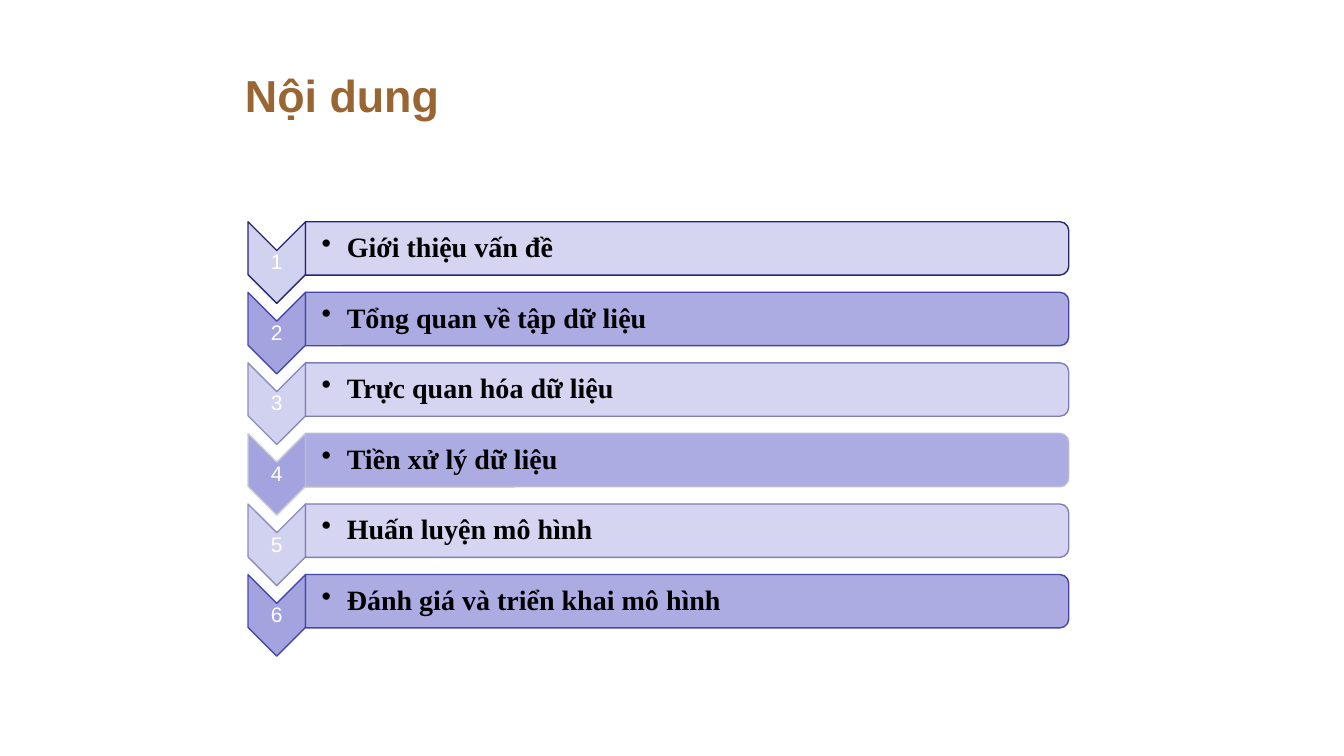
from dataclasses import dataclass

from lxml.etree import SubElement
from pptx import Presentation
from pptx.dml.color import RGBColor
from pptx.enum.shapes import MSO_SHAPE
from pptx.enum.text import MSO_ANCHOR, MSO_AUTO_SIZE, PP_ALIGN
from pptx.oxml.ns import qn
from pptx.shapes.autoshape import Shape
from pptx.slide import Slide
from pptx.text.text import TextFrame
from pptx.util import Emu, Pt

LAVENDER = "D1D1F0"
VIOLET = "A3A3E0"
FIRST_TOP = 223
ROW_PITCH = 70
BAR_LEFT, BAR_WIDTH, BAR_HEIGHT = 303, 757, 53
CHEVRON_LEFT, CHEVRON_WIDTH, CHEVRON_HEIGHT = 246, 57, 81


@dataclass
class Topic:
    text: str
    fill: str
    chevron_line: str
    bar_line: str


TOPICS = [
    Topic("Giới thiệu vấn đề", LAVENDER, "262671", "262671"),
    Topic("Tổng quan về tập dữ liệu", VIOLET, "4949A7", "4646A2"),
    Topic("Trực quan hóa dữ liệu", LAVENDER, "8C8CBF", "8080B9"),
    Topic("Tiền xử lý dữ liệu", VIOLET, "CACADA", "BBBBD0"),
    Topic("Huấn luyện mô hình", LAVENDER, "8C8CBF", "8080B9"),
    Topic("Đánh giá và triển khai mô hình", VIOLET, "4949A7", "4646A2"),
]


def px(length: float) -> Emu:
    """Convert px, 100 to the inch, into EMU."""
    return Emu(round(length * 9144))


def color(value: str) -> RGBColor:
    return RGBColor.from_string(value)


def add_turned_shape(slide: Slide, kind: MSO_SHAPE, left: int, top: int,
                     width: int, height: int, fill: str, line: str) -> Shape:
    """Add a shape turned by 90 degrees that covers the given area."""
    shape = slide.shapes.add_shape(
        kind, px(left + (width - height) / 2), px(top + (height - width) / 2),
        px(height), px(width))
    shape.rotation = 90
    shape.shadow.inherit = False
    shape.fill.solid()
    shape.fill.fore_color.rgb = color(fill)
    shape.line.color.rgb = color(line)
    shape.line.width = Pt(1)
    return shape


def set_opacity(shape: Shape, percent: int) -> None:
    solid_color = shape.fill._xPr.find(qn("a:solidFill"))[0]
    SubElement(solid_color, qn("a:alpha")).set("val", str(percent * 1000))


def style_text(frame: TextFrame, font_name: str, size: int, text_color: str,
               bold: bool, align: PP_ALIGN) -> None:
    paragraph = frame.paragraphs[0]
    paragraph.alignment = align
    font = paragraph.runs[0].font
    font.name = font_name
    font.size = Pt(size)
    font.bold = bold
    font.color.rgb = color(text_color)


def add_label(slide: Slide, text: str, left: int, top: int, width: int,
              height: int, inset: int) -> TextFrame:
    frame = slide.shapes.add_textbox(
        px(left), px(top), px(width), px(height)).text_frame
    frame.word_wrap = True
    frame.vertical_anchor = MSO_ANCHOR.MIDDLE
    frame.margin_left = px(inset)
    frame.margin_top = frame.margin_right = frame.margin_bottom = px(1)
    frame.text = text
    frame.paragraphs[0].line_spacing = 0.9
    return frame


def add_bullet(frame: TextFrame) -> None:
    paragraph = frame.paragraphs[0]
    paragraph.level = 1
    properties = paragraph._p.get_or_add_pPr()
    properties.set("marL", str(px(25)))
    properties.set("indent", str(px(-25)))
    SubElement(properties, qn("a:buChar")).set("char", "•")


def add_topic(slide: Slide, number: int, topic: Topic) -> None:
    top = FIRST_TOP - 3 + (number - 1) * ROW_PITCH
    add_turned_shape(slide, MSO_SHAPE.CHEVRON, CHEVRON_LEFT, top,
                     CHEVRON_WIDTH, CHEVRON_HEIGHT, topic.fill, topic.chevron_line)
    number_label = add_label(slide, str(number), CHEVRON_LEFT, top + 29,
                             CHEVRON_WIDTH, 24, 1)
    style_text(number_label, "Arial", 15, "FFFFFF", False, PP_ALIGN.CENTER)

    bar = add_turned_shape(slide, MSO_SHAPE.ROUND_2_SAME_RECTANGLE, BAR_LEFT, top,
                           BAR_WIDTH, BAR_HEIGHT, topic.fill, topic.bar_line)
    set_opacity(bar, 90)
    topic_label = add_label(slide, topic.text, BAR_LEFT, top + 3, BAR_WIDTH - 3, 47, 16)
    style_text(topic_label, "Times New Roman", 20, "000000", True, PP_ALIGN.LEFT)
    add_bullet(topic_label)


def add_title(slide: Slide, text: str) -> None:
    title = slide.shapes.title
    title.left, title.top, title.width, title.height = map(px, (233, 46, 289, 80))
    frame = title.text_frame
    frame.text = text
    frame.auto_size = MSO_AUTO_SIZE.NONE
    frame.vertical_anchor = MSO_ANCHOR.BOTTOM
    frame.paragraphs[0].space_after = Pt(6)
    style_text(frame, "Arial", 32, "996633", True, PP_ALIGN.LEFT)


def main() -> None:
    presentation = Presentation()
    presentation.slide_width = px(1333)
    presentation.slide_height = px(750)
    slide = presentation.slides.add_slide(presentation.slide_layouts[5])
    add_title(slide, "Nội dung")
    for number, topic in enumerate(TOPICS, start=1):
        add_topic(slide, number, topic)
    presentation.save("out.pptx")


if __name__ == "__main__":
    main()
